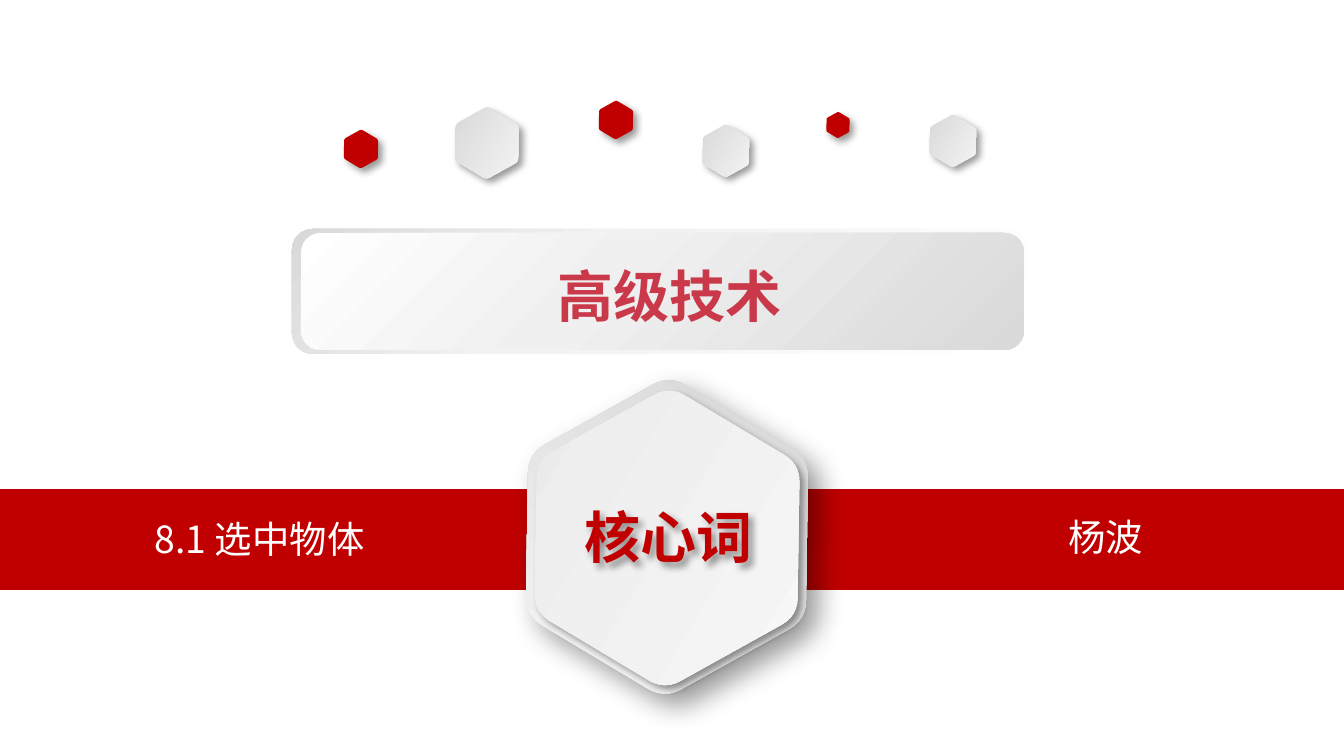
from math import cos, pi, sin, sqrt

from lxml.etree import SubElement
from pptx import Presentation
from pptx.dml.color import RGBColor
from pptx.enum.shapes import MSO_SHAPE
from pptx.enum.text import MSO_ANCHOR, PP_ALIGN
from pptx.oxml.ns import qn
from pptx.util import Pt

PX = 914400 / 134.4
FONT = "Noto Sans CJK SC"
RED = RGBColor(0xC0, 0x00, 0x00)
ROSE = RGBColor(0xC9, 0x39, 0x4A)
WHITE = RGBColor(0xFF, 0xFF, 0xFF)
BLACK = RGBColor(0x00, 0x00, 0x00)
SILVER = RGBColor(0xD3, 0xD3, 0xD3)
PEARL = RGBColor(0xE9, 0xE9, 0xE9)
SNOW = RGBColor(0xF9, 0xF9, 0xF9)
MIST = RGBColor(0xF2, 0xF2, 0xF2)
FOG = RGBColor(0xF0, 0xF0, 0xF0)
ASH = RGBColor(0xD9, 0xD9, 0xD9)


def set_gradient(shape, stops, angle):
    shape.fill.gradient()
    shape.fill.gradient_angle = angle
    stop_list = shape._element.spPr.find(".//" + qn("a:gsLst"))
    stop_list.clear()
    for position, color in stops:
        stop = SubElement(stop_list, qn("a:gs"), pos=str(position * 1000))
        SubElement(stop, qn("a:srgbClr"), val=str(color))


def add_shadow(shape, blur, distance):
    shape.shadow.inherit = False
    effects = shape._element.spPr.find(qn("a:effectLst"))
    shadow = SubElement(effects, qn("a:outerShdw"), blurRad=str(Pt(blur)), dist=str(Pt(distance)),
                        dir="2700000", algn="tl", rotWithShape="0")
    color = SubElement(shadow, qn("a:srgbClr"), val=str(BLACK))
    SubElement(color, qn("a:alpha"), val="40000")


prs = Presentation()
prs.slide_width, prs.slide_height = round(1344 * PX), round(756 * PX)
slide = prs.slides.add_slide(prs.slide_layouts[5])
shapes = slide.shapes

band = shapes.add_shape(MSO_SHAPE.RECTANGLE, 0, round(489 * PX), prs.slide_width, round(101 * PX))
band.fill.solid()
band.fill.fore_color.rgb = RED
band.line.fill.background()
band.shadow.inherit = False

CUT = 0.12
STEPS = 6
hexagons = [
    (487, 143, 63, SILVER, 0, 4, 3),
    (616, 120, 34, RED, None, 4, 3),
    (361, 149, 34, RED, None, 4, 3),
    (726, 151, 46, SILVER, 0, 4, 3),
    (838, 125, 23, RED, None, 4, 3),
    (953, 141, 46, SILVER, 0, 4, 3),
    (667, 537, 280, SILVER, 270, 15, 9),
    (667, 538, 263, PEARL, 0, 4, 3),
]
for center_x, center_y, height, color, angle, blur, distance in hexagons:
    radius = height / sqrt(3)
    corners = [(center_x + radius * cos(i * pi / 3), center_y + radius * sin(i * pi / 3))
               for i in range(6)]
    outline = []
    for i, corner in enumerate(corners):
        before, after = corners[i - 1], corners[(i + 1) % 6]
        for step in range(STEPS + 1):
            t = step / STEPS
            outline.append(tuple(
                (c + CUT * ((1 - t) ** 2 * (b - c) + t ** 2 * (a - c))) * PX
                for b, c, a in zip(before, corner, after)))
    builder = shapes.build_freeform(*outline[0])
    builder.add_line_segments(outline[1:], close=True)
    hexagon = builder.convert_to_shape()
    hexagon.rotation = 30.9
    if angle is None:
        hexagon.fill.solid()
        hexagon.fill.fore_color.rgb = color
    else:
        set_gradient(hexagon, [(0, color), (100, SNOW)], angle)
    hexagon.line.fill.background()
    add_shadow(hexagon, blur, distance)

plates = [
    ((292, 229, 736, 125), [(0, WHITE), (62, MIST), (100, ASH)], 135),
    ((301, 233, 723, 117), [(0, WHITE), (42, FOG), (100, ASH)], 315),
]
for box, stops, angle in plates:
    plate = shapes.add_shape(MSO_SHAPE.ROUNDED_RECTANGLE, *[round(n * PX) for n in box])
    set_gradient(plate, stops, angle)
    plate.line.fill.background()
    plate.shadow.inherit = False

title = shapes.title
shapes._spTree.append(title._element)
chapter = shapes.add_textbox(0, 0, 0, 0)
author = shapes.add_textbox(0, 0, 0, 0)
keyword = shapes.add_shape(MSO_SHAPE.ROUNDED_RECTANGLE, 0, 0, 0, 0)
keyword.fill.background()
keyword.line.fill.background()
add_shadow(keyword, 4, 3)

labels = [
    (title, (302, 255, 736, 81), "高级技术", 30, ROSE, True),
    (chapter, (23, 509, 473, 59), "8.1 选中物体", 20, WHITE, False),
    (author, (871, 507, 470, 59), "杨波", 20, WHITE, False),
    (keyword, (536, 503, 265, 67), "核心词", 30, RED, True),
]
for label, box, text, size, color, bold in labels:
    label.left, label.top, label.width, label.height = [round(n * PX) for n in box]
    frame = label.text_frame
    frame.text = text
    frame.word_wrap = True
    frame.vertical_anchor = MSO_ANCHOR.MIDDLE
    frame.margin_left = frame.margin_right = frame.margin_top = frame.margin_bottom = 0
    paragraph = frame.paragraphs[0]
    paragraph.alignment = PP_ALIGN.CENTER
    run = paragraph.runs[0]
    run.font.size = Pt(size)
    run.font.bold = bold
    run.font.color.rgb = color
    run.font.name = FONT
    SubElement(run.font._element, qn("a:ea"), typeface=FONT)

prs.save("out.pptx")
